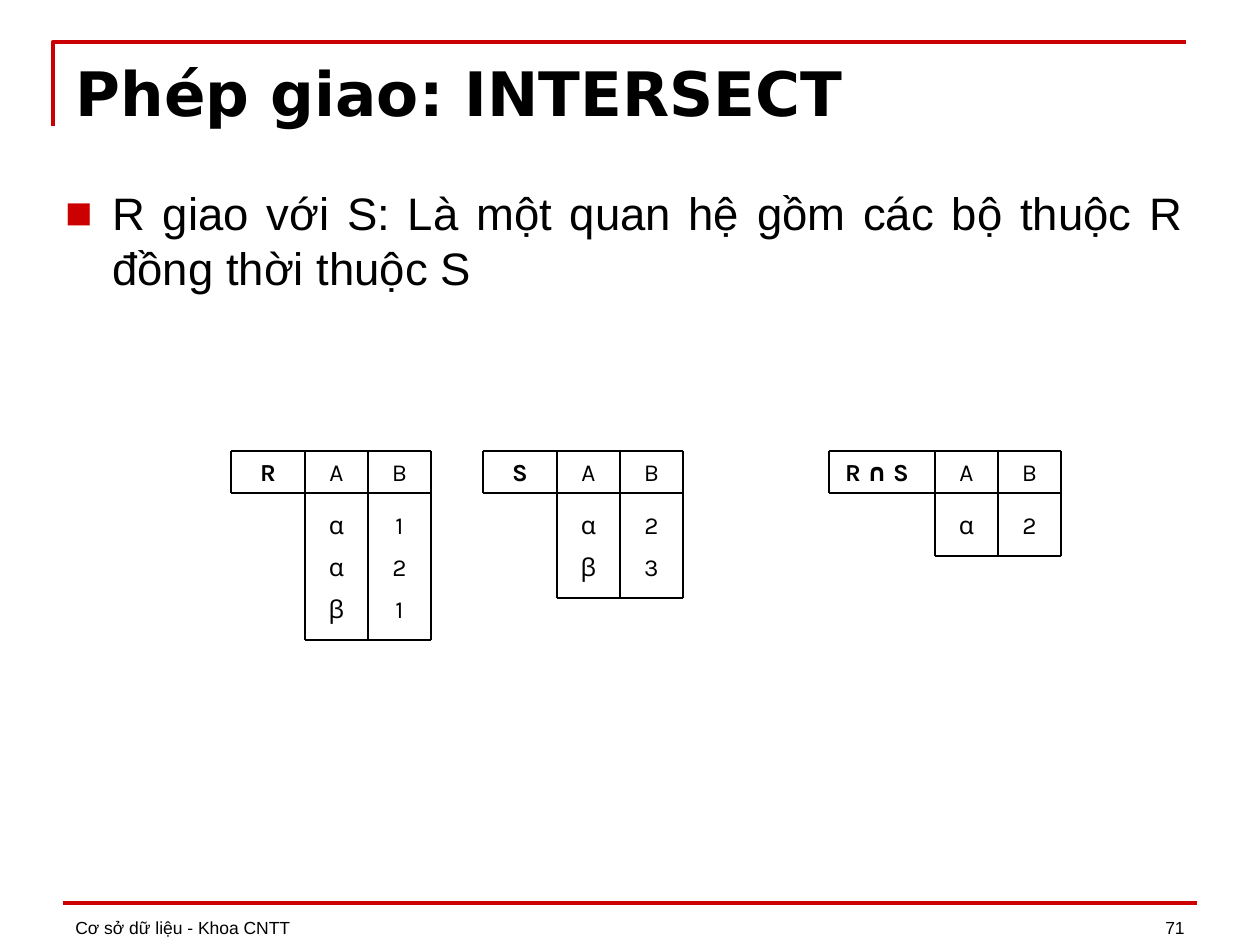
from lxml import etree
from pptx import Presentation
from pptx.dml.color import RGBColor
from pptx.enum.shapes import MSO_CONNECTOR
from pptx.enum.text import MSO_ANCHOR as ANCHOR, PP_ALIGN as ALIGN
from pptx.oxml import parse_xml
from pptx.oxml.ns import nsdecls, qn
from pptx.util import Emu, Pt

BLACK = RGBColor(0x00, 0x00, 0x00)
RED = RGBColor(0xCC, 0x00, 0x00)
PX_PER_INCH = 126


def px(n):
    return Emu(round(n * 914400 / PX_PER_INCH))


def write(tf, text, *, size, font="Arial", color=BLACK, bold=False,
          align=ALIGN.LEFT, anchor=ANCHOR.TOP):
    """Fill a text frame with one formatted paragraph and return it."""
    tf.word_wrap = True
    tf.vertical_anchor = anchor
    p = tf.paragraphs[0]
    p.alignment = align
    r = p.add_run()
    r.text = text
    f = r.font
    f.name, f.size, f.bold = font, Pt(size), bold
    f.color.rgb = color
    return p


def add_bullet(p, indent, color):
    pPr = p._p.get_or_add_pPr()
    pPr.set("marL", str(px(indent)))
    pPr.set("indent", str(-px(indent)))
    for xml in (f'<a:buClr {nsdecls("a")}><a:srgbClr val="{color}"/></a:buClr>',
                f'<a:buFont {nsdecls("a")} typeface="Arial"/>',
                f'<a:buChar {nsdecls("a")} char="■"/>'):
        pPr.append(parse_xml(xml))


class SlideBuilder:
    CELL_W, ROW_H = 63, 42
    BODY_GAP, BODY_PAD = 11, 10
    CELL_FONT, CELL_SIZE = "Karla", 14

    def __init__(self, prs):
        self.slide = prs.slides.add_slide(prs.slide_layouts[5])
        self.shapes = self.slide.shapes

    def title(self, text, x, y, w, h, **fmt):
        sp = self.shapes.title
        sp.left, sp.top, sp.width, sp.height = map(px, (x, y, w, h))
        write(sp.text_frame, text, **fmt)

    def text(self, text, x, y, w, h, parent=None, **fmt):
        sp = (parent or self.shapes).add_textbox(*map(px, (x, y, w, h)))
        return write(sp.text_frame, text, **fmt)

    def line(self, x1, y1, x2, y2, parent=None, color=BLACK, width=1):
        ln = (parent or self.shapes).add_connector(
            MSO_CONNECTOR.STRAIGHT, *map(px, (x1, y1, x2, y2)))
        ln.line.color.rgb = color
        ln.line.width = Pt(width)
        etree.SubElement(ln._element.spPr, qn("a:effectLst"))

    def corner(self, points, color, width):
        fb = self.shapes.build_freeform(*map(px, points[0]), scale=1.0)
        fb.add_line_segments([tuple(map(px, pt)) for pt in points[1:]], close=False)
        sp = fb.convert_to_shape()
        sp.shadow.inherit = False
        sp.fill.background()
        sp.line.color.rgb = color
        sp.line.width = Pt(width)

    def relation(self, name, left, name_w, top, columns, rows, name_shift=0):
        """A relation: its name and attributes above, its tuples below."""
        g = self.slide.shapes.add_group_shape().shapes
        cells_x = left + name_w
        edges = [cells_x + i * self.CELL_W for i in range(len(columns) + 1)]
        head_y = top + self.ROW_H
        body_y = head_y + self.BODY_GAP
        bottom = body_y + len(rows) * self.ROW_H + self.BODY_PAD

        # Rules
        for y, start in ((top, left), (head_y, left), (bottom, cells_x)):
            self.line(start, y, edges[-1], y, g)
        self.line(left, top, left, head_y, g)
        for x in edges:
            self.line(x, top, x, bottom, g)

        # Name, attributes and tuples
        fmt = dict(parent=g, font=self.CELL_FONT, size=self.CELL_SIZE,
                   align=ALIGN.CENTER)
        self.text(name, left - name_shift, top, name_w + name_shift, self.ROW_H,
                  bold=True, **fmt)
        tops = [top] + [body_y + i * self.ROW_H for i in range(len(rows))]
        for y, row in zip(tops, [columns, *rows]):
            for x, value in zip(edges, row):
                self.text(value, x, y, self.CELL_W, self.ROW_H, **fmt)


def main():
    prs = Presentation()
    prs.slide_width, prs.slide_height = px(1260), px(945)
    s = SlideBuilder(prs)

    # Frame and footer
    s.corner([(53, 126), (53, 42), (1186, 42)], RED, 2.5)
    s.line(63, 903, 1197, 903, color=RED, width=2)
    s.text("Cơ sở dữ liệu - Khoa CNTT", 63, 881, 766, 63, size=10,
           anchor=ANCHOR.BOTTOM)
    s.text("71", 903, 881, 294, 63, size=10, align=ALIGN.RIGHT,
           anchor=ANCHOR.BOTTOM)

    # Title and definition
    s.title("Phép giao: INTERSECT", 63, 49, 1134, 86, size=35,
            font="DejaVu Sans", bold=True, anchor=ANCHOR.BOTTOM)
    p = s.text("R giao với S: Là một quan hệ gồm các bộ thuộc R đồng thời thuộc S",
               53, 179, 1144, 703, size=26, align=ALIGN.JUSTIFY)
    add_bullet(p, 47, RED)

    # Two relations and their intersection
    top, columns = 451, "AB"
    s.relation("R", 231, 74, top, columns, ["α1", "α2", "β1"])
    s.relation("S", 483, 74, top, columns, ["α2", "β3"])
    s.relation("R ∩ S", 829, 106, top, columns, ["α2"], name_shift=10)

    prs.save("out.pptx")


if __name__ == "__main__":
    main()
